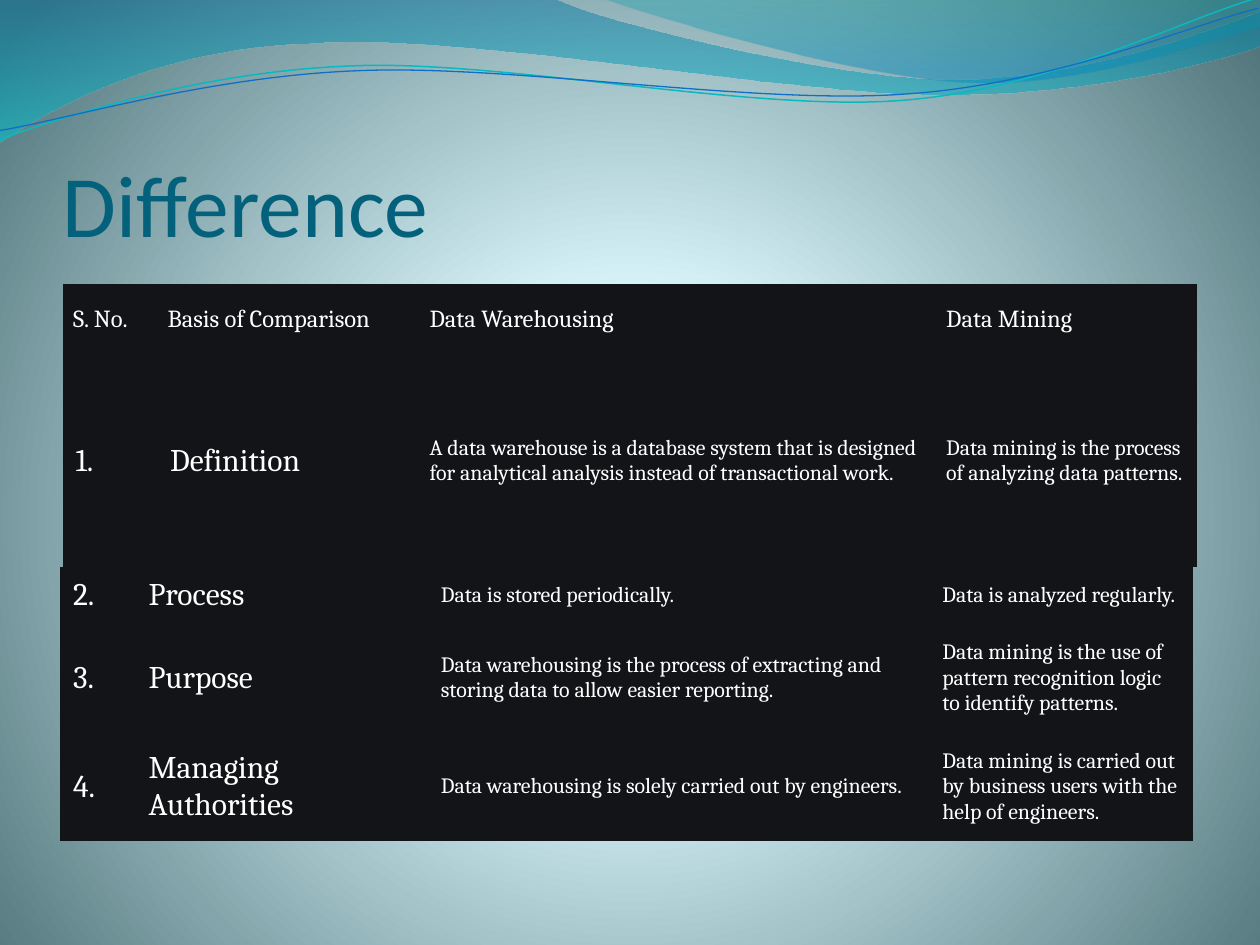
import pptx
import pptx.dml.color
import pptx.enum.text
import pptx.oxml
import pptx.oxml.ns
import pptx.util

SCALE = 9144  # EMU per px, 100 px to the inch
TILT = 357.3  # rotation of the thin lines, degrees
COLORS = {
    "title": "04617B", "cell": "131417", "text": "FFFFFF",
    "glow": "DEFBFF", "pale": "DDFAFF", "edge": "52767C",
    "blue": "0074A1", "aqua": "00C6CF", "teal": "00A1A9", "sky": "008BBF",
    "line_aqua": "0AB8BF", "line_blue": "0F6FC6",
}
DOWNWARD = '<a:lin ang="5400000" scaled="1"/>'
RADIAL = ('<a:path path="circle">'
          '<a:fillToRect l="10000" t="110000" r="10000" b="100000"/></a:path>')

# Each wave starts at a point; 2 numbers draw a line, 6 a Bezier curve
WAVE_BACK = [
    (1, 1), (441, 0), (477, 18, 665, 64, 759, 64), (854, 64, 959, 27, 1001, 10),
    (1002, 37), (984, 45, 871, 77, 747, 76), (623, 76, 383, 29, 258, 35),
    (130, 37, 47, 84, 0, 114), (1, 1)]
WAVE_FRONT = [
    (0, 0), (30, 12, 203, 63, 290, 66), (377, 70, 482, 33, 521, 22), (521, 1), (0, 0)]
LINE_AQUA = [
    (0, 65), (49, 50, 160, 19, 280, 20), (398, 20, 593, 71, 714, 68),
    (834, 65, 942, 14, 1002, 0)]
LINE_BLUE = [
    (0, 50), (48, 45, 166, 15, 285, 16), (405, 16, 598, 58, 718, 55),
    (837, 53, 944, 12, 1003, 0)]

INTRO_ROWS = [
    ["S. No.", "Basis of Comparison", "Data Warehousing", "Data Mining"],
    ["1.", "Definition",
     "A data warehouse is a database system that is designed for analytical "
     "analysis instead of transactional work.",
     "Data mining is the process of analyzing data patterns."]]
MORE_ROWS = [
    ["2.", "Process", "Data is stored periodically.", "Data is analyzed regularly."],
    ["3.", "Purpose",
     "Data warehousing is the process of extracting and storing data to allow "
     "easier reporting.",
     "Data mining is the use of pattern recognition logic to identify patterns."],
    ["4.", "Managing Authorities",
     "Data warehousing is solely carried out by engineers.",
     "Data mining is carried out by business users with the help of engineers."]]


def px(n):
    return pptx.util.Emu(n * SCALE)


def rgb(name):
    return pptx.dml.color.RGBColor.from_string(COLORS[name])


def set_gradient(fill, element, stops, shade):
    """Give a fill the stops (position %, colour, opacity %) and a shade element."""
    fill.gradient()
    grad = next(element.iter(pptx.oxml.ns.qn("a:gradFill")))
    gs = "".join(
        f'<a:gs pos="{pos * 1000}"><a:srgbClr val="{COLORS[name]}">'
        f'<a:alpha val="{alpha * 1000}"/></a:srgbClr></a:gs>'
        for pos, name, alpha in stops)
    grad.getparent().replace(grad, pptx.oxml.parse_xml(
        f'<a:gradFill {pptx.oxml.ns.nsdecls("a")} rotWithShape="1">'
        f"<a:gsLst>{gs}</a:gsLst>{shade}</a:gradFill>"))


def add_wave(slide, x, y, w, h, segments, close):
    """Build a freeform in the box, with true Bezier curves in its path."""
    builder = slide.shapes.build_freeform(scale=SCALE)
    builder.add_line_segments([(w, h)], close=False)
    sp = builder.convert_to_shape()
    sp.left, sp.top, sp.width, sp.height = px(x), px(y), px(w), px(h)
    sp.shadow.inherit = False
    commands = ""
    for i, seg in enumerate(segments):
        tag = "moveTo" if i == 0 else "lnTo" if len(seg) == 2 else "cubicBezTo"
        points = "".join(f'<a:pt x="{a}" y="{b}"/>' for a, b in zip(seg[::2], seg[1::2]))
        commands += f"<a:{tag}>{points}</a:{tag}>"
    if close:
        commands += "<a:close/>"
    outline = next(sp._element.iter(pptx.oxml.ns.qn("a:path")))
    outline.getparent().replace(outline, pptx.oxml.parse_xml(
        f'<a:path {pptx.oxml.ns.nsdecls("a")} w="{w}" h="{h}">{commands}</a:path>'))
    return sp


def add_waves(slide, x, y):
    # Filled waves
    for (dx, dy, w, h), segments, stops in (
            ((-1, -1, 1002, 114), WAVE_BACK, [(0, "blue", 45), (100, "aqua", 55)]),
            ((479, -1, 521, 70), WAVE_FRONT, [(0, "teal", 30), (80, "sky", 45)])):
        sp = add_wave(slide, x + dx, y + dy, w, h, segments, True)
        set_gradient(sp.fill, sp._element, stops, DOWNWARD)
        sp.line.fill.background()
    # Thin lines
    for (dx, dy, w, h), segments, color, width in (
            ((-2, 22, 1002, 71), LINE_AQUA, "line_aqua", 0.85),
            ((-2, 30, 1003, 58), LINE_BLUE, "line_blue", 0.75)):
        sp = add_wave(slide, x + dx, y + dy, w, h, segments, False)
        sp.rotation = TILT
        sp.fill.background()
        sp.line.color.rgb = rgb(color)
        sp.line.width = pptx.util.Pt(width)


def add_run(p, text, size, font, color):
    r = p.add_run()
    r.text = text
    r.font.size = pptx.util.Pt(size)
    r.font.bold = False
    r.font.name = font
    r.font.color.rgb = rgb(color)


def add_title(slide, x, y, w, h, text):
    tf = slide.shapes.add_textbox(px(x), px(y), px(w), px(h)).text_frame
    tf.word_wrap = True
    tf.vertical_anchor = pptx.enum.text.MSO_ANCHOR.BOTTOM
    tf.margin_left = tf.margin_right = tf.margin_bottom = 0
    tf.margin_top = px(5)
    add_run(tf.paragraphs[0], text, 50, "Calibri", "title")


def add_comparison(slide, x, y, h, cols, heights, rows, header=False):
    """Rows of height 0 grow to fit their text."""
    table = slide.shapes.add_table(
        len(rows), len(cols), px(x), px(y), px(sum(cols)), px(h)).table
    table.first_row = header
    table.horz_banding = False
    for column, width in zip(table.columns, cols):
        column.width = px(width)
    for i, (row, height) in enumerate(zip(rows, heights)):
        table.rows[i].height = px(height)
        for j, text in enumerate(row):
            # Header cells, label cells and description cells
            if header and i == 0:
                size, side, top = 14, 8, 8
            elif j < 2:
                size, side, top = 18, 10, 5
            else:
                size, side, top = 12.5, 8, 12
            cell = table.cell(i, j)
            cell.fill.solid()
            cell.fill.fore_color.rgb = rgb("cell")
            cell.vertical_anchor = pptx.enum.text.MSO_ANCHOR.MIDDLE
            cell.margin_left = cell.margin_right = px(side)
            cell.margin_top = cell.margin_bottom = px(top)
            add_run(cell.text_frame.paragraphs[0], text, size, "Cambria", "text")
            # No grid lines between cells
            tcPr = cell._tc.get_or_add_tcPr()
            for k, edge in enumerate(("lnL", "lnR", "lnT", "lnB")):
                tcPr.insert(k, pptx.oxml.parse_xml(
                    f'<a:{edge} {pptx.oxml.ns.nsdecls("a")}><a:noFill/></a:{edge}>'))


def main():
    prs = pptx.Presentation()
    prs.slide_width, prs.slide_height = px(1000), px(750)
    slide = prs.slides.add_slide(prs.slide_layouts[6])
    set_gradient(slide.background.fill, slide._element,
                 [(0, "glow", 100), (25, "pale", 100), (100, "edge", 100)], RADIAL)
    add_waves(slide, 0, 0)
    add_title(slide, 50, 77, 900, 125, "Difference")
    add_comparison(slide, 50, 225, 225, [75, 208, 410, 207], [57, 168], INTRO_ROWS, header=True)
    add_comparison(slide, 48, 450, 258, [60, 234, 398, 207], [0, 0, 0], MORE_ROWS)
    prs.save("out.pptx")


if __name__ == "__main__":
    main()
